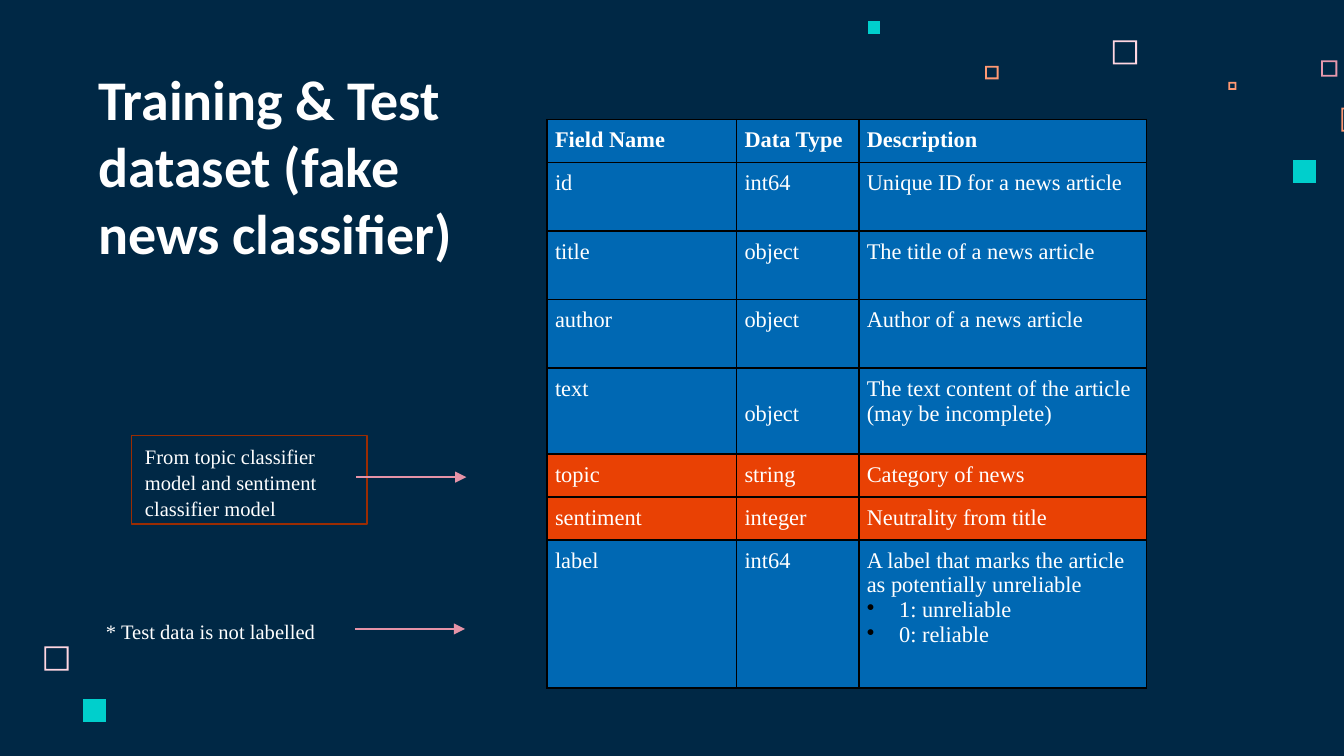
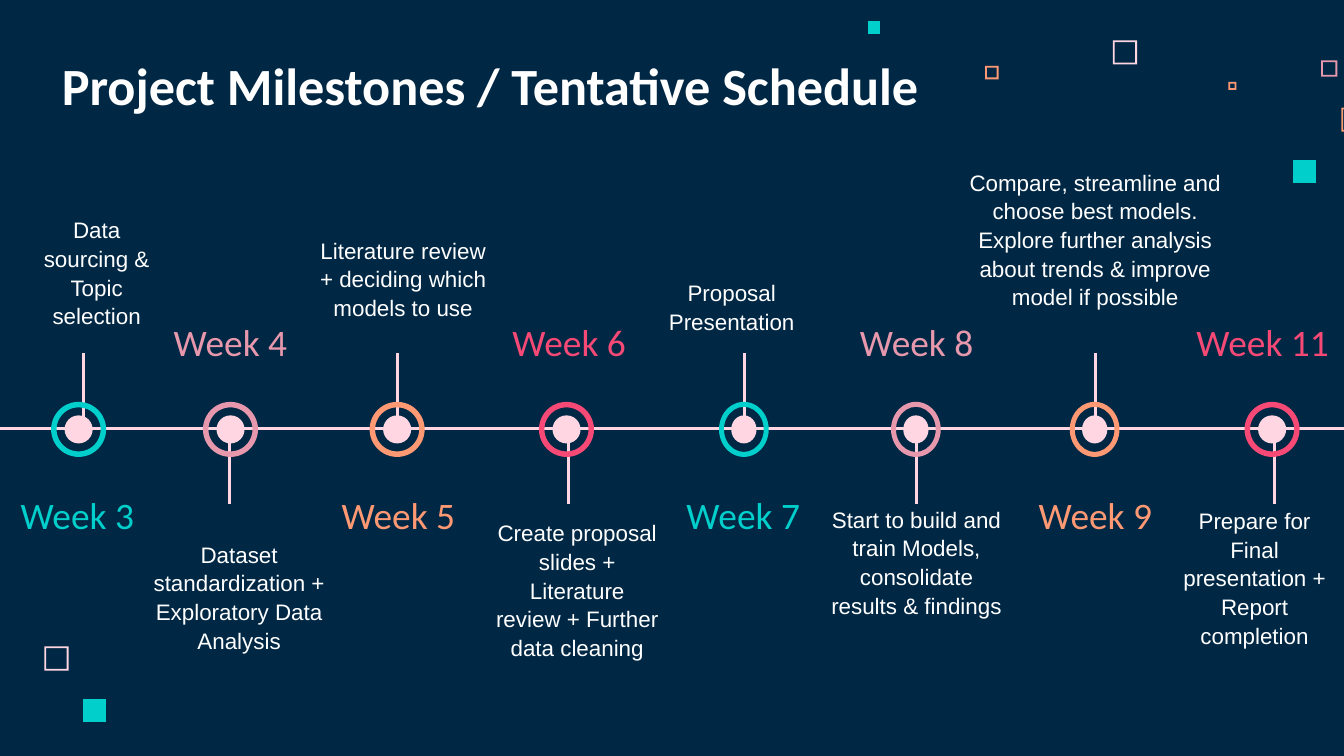
import collections

import lxml.etree
import pptx
import pptx.dml.color
import pptx.enum.shapes
import pptx.enum.text
import pptx.oxml.ns
import pptx.util

# Grid: the slide is 100 columns wide, and rows are as tall as columns are wide
COLS, ROWS = 100, 56.25
Box = collections.namedtuple("Box", "x y w h")

NAVY, WHITE, BLACK = "002845", "FFFFFF", "000000"
BLUSH, PINK, ORANGE, RED, TEAL = "FFD6E1", "E898AC", "FF9973", "F64975", "00CFCC"
BLUE, VERMILION, RUST, ROSE = "0068B3", "E94104", "9B2C02", "E593A7"
TITLE_FONT, TABLE_FONT, BODY_FONT = "Calibri", "Times New Roman", "Arial"

ALIGN = pptx.enum.text.PP_ALIGN
ANCHOR = pptx.enum.text.MSO_ANCHOR
SHAPE = pptx.enum.shapes.MSO_SHAPE

# left, top, side, colour, hollow
SQUARES = [
    (82.8, 3, 1.8, BLUSH, True),
    (98.3, 4.5, 1.2, PINK, True),
    (91.4, 6.1, 0.6, ORANGE, True),
    (99.8, 8, 1.8, ORANGE, True),
    (96.2, 11.9, 1.7, TEAL, False),
    (73.3, 4.9, 1, ORANGE, True),
    (64.6, 1.6, 0.9, TEAL, False),
    (3.3, 48.1, 1.8, BLUSH, True),
    (6.2, 52, 1.7, TEAL, False),
]

FIELD_COLS = [14.1, 9.1, 21.4]
FIELD_ROWS = [3.2, 5.1, 5.1, 5.1, 6.4, 3.2, 3.2, 11]
FIELDS = [
    ("Field Name", "Data Type", "Description"),
    ("id", "int64", "Unique ID for a news article"),
    ("title", "object", "The title of a news article"),
    ("author", "object", "Author of a news article"),
    ("text", "object", "The text content of the article (may be incomplete)"),
    ("topic", "string", "Category of news"),
    ("sentiment", "integer", "Neutrality from title"),
    ("label", "int64", "A label that marks the article as potentially unreliable"
                       "\n• 1: unreliable\n• 0: reliable"),
]
DERIVED_FIELDS = ("topic", "sentiment")

# Centres of marker, stem and label; marker width; text box
Milestone = collections.namedtuple("Milestone", "week marker stem label width box text")
MILESTONES = [
    Milestone("Week 3", 5.85, 6.2, 5.75, 4.1, Box(1.2, 17, 12, 8.5),
              "Data sourcing & Topic selection"),
    Milestone("Week 4", 17.15, 17.1, 17.15, 4.1, Box(10.3, 39.1, 15, 14.8),
              "Dataset standardization + Exploratory Data Analysis"),
    Milestone("Week 5", 29.55, 29.6, 29.65, 4.1, Box(22.2, 14, 15.6, 10.9),
              "Literature review + deciding which models to use"),
    Milestone("Week 6", 42.15, 42.3, 42.35, 4.1, Box(35.9, 37.5, 14.1, 11.2),
              "Create proposal slides + Literature review + Further data cleaning"),
    Milestone("Week 7", 55.35, 55.4, 55.3, 3.7, Box(45.1, 18.2, 18.7, 7.7),
              "Proposal\nPresentation"),
    Milestone("Week 8", 68.15, 68.2, 68.2, 3.7, Box(60.7, 36.5, 15, 12.3),
              "Start to build and train Models, consolidate results & findings"),
    Milestone("Week 9", 81.45, 81.5, 81.5, 3.7, Box(71, 13.2, 21, 10.9),
              "Compare, streamline and choose best models. Explore further analysis "
              "about trends & improve model if possible"),
    Milestone("Week 11", 94.65, 94.8, 93.95, 4.1, Box(86.3, 36.6, 14.1, 10.3),
              "Prepare for Final presentation + Report completion"),
]
WEEK_COLORS = [TEAL, PINK, ORANGE, RED]


def grid(n):
    return pptx.util.Inches(n / 10)


def place(box):
    return [grid(n) for n in box]


def rgb(value):
    return pptx.dml.color.RGBColor.from_string(value)


def paint(sp, fill=None, line=None, width=0.75):
    sp.shadow.inherit = False
    if fill:
        sp.fill.solid()
        sp.fill.fore_color.rgb = rgb(fill)
    else:
        sp.fill.background()
    if line:
        sp.line.color.rgb = rgb(line)
        sp.line.width = pptx.util.Pt(width)
    else:
        sp.line.fill.background()


def sub(parent, tag, **attrs):
    return lxml.etree.SubElement(parent, pptx.oxml.ns.qn(tag), attrs)


def bullet(p):
    pPr = p._p.get_or_add_pPr()
    pPr.set("marL", str(grid(2.4)))
    pPr.set("indent", str(-grid(2.4)))
    sub(sub(pPr, "a:buClr"), "a:srgbClr", val=BLACK)
    sub(pPr, "a:buChar", char="•")


def write(tf, text, font=BODY_FONT, size=12, color=WHITE, bold=False,
          align=ALIGN.LEFT, spacing=None):
    """One paragraph a line; a line that starts with a bullet becomes a list item."""
    for i, line in enumerate(text.split("\n")):
        p = tf.add_paragraph() if i else tf.paragraphs[0]
        p.alignment = align
        if spacing:
            p.line_spacing = spacing
        if line.startswith("• "):
            bullet(p)
        r = p.add_run()
        r.text = line.removeprefix("• ")
        r.font.name, r.font.size, r.font.bold = font, pptx.util.Pt(size), bold
        r.font.color.rgb = rgb(color)


def frame(tf, anchor=ANCHOR.TOP, inset_y=1):
    tf.word_wrap = True
    tf.auto_size = pptx.enum.text.MSO_AUTO_SIZE.NONE
    tf.vertical_anchor = anchor
    tf.margin_left = tf.margin_right = grid(1)
    tf.margin_top = tf.margin_bottom = grid(inset_y)
    return tf


def text_box(s, box, text, anchor=ANCHOR.TOP, inset_y=1, **fmt):
    sp = s.shapes.add_textbox(*place(box))
    write(frame(sp.text_frame, anchor, inset_y), text, **fmt)


def line(s, x1, y1, x2, y2, color=BLUSH, width=1.5, arrow=False):
    c = s.shapes.add_connector(pptx.enum.shapes.MSO_CONNECTOR.STRAIGHT,
                               *place((x1, y1, x2, y2)))
    c.line.color.rgb = rgb(color)
    c.line.width = pptx.util.Pt(width)
    if arrow:
        sub(c.line._get_or_add_ln(), "a:tailEnd", type="triangle")
    sub(c._element.spPr, "a:effectLst")


# Scattered squares, shared by all slides
def square(s, x, y, side, color, hollow):
    def corners(inset):
        a, b = grid(inset), grid(side - inset)
        return [(grid(x) + u, grid(y) + v) for u, v in ((a, a), (b, a), (b, b), (a, b))]

    outer = corners(0)
    fb = s.shapes.build_freeform(*outer[0])
    fb.add_line_segments(outer[1:], close=True)
    if hollow:
        inner = corners(0.13)[::-1]
        fb.move_to(*inner[0])
        fb.add_line_segments(inner[1:], close=True)
    paint(fb.convert_to_shape(), color)


def new_slide(prs, title, box, size):
    s = prs.slides.add_slide(prs.slide_layouts[5])
    for spot in SQUARES:
        square(s, *spot)
    sp = s.shapes.title
    sp.left, sp.top, sp.width, sp.height = place(box)
    write(frame(sp.text_frame, ANCHOR.BOTTOM), title, font=TITLE_FONT, size=size, bold=True)
    return s


# Table of dataset fields
def border(cell):
    tcPr = cell._tc.get_or_add_tcPr()
    for side in "LRTB":
        ln = sub(tcPr, f"a:ln{side}", w=str(pptx.util.Pt(1)))
        sub(sub(ln, "a:solidFill"), "a:srgbClr", val=BLACK)


def field_table(s, box):
    table = s.shapes.add_table(len(FIELDS), len(FIELD_COLS), *place(box)).table
    table.first_row = table.horz_banding = False
    for col, width in zip(table.columns, FIELD_COLS):
        col.width = grid(width)
    for row, height, field in zip(table.rows, FIELD_ROWS, FIELDS):
        row.height = grid(height)
        for cell, text in zip(row.cells, field):
            border(cell)
            cell.fill.solid()
            cell.fill.fore_color.rgb = rgb(VERMILION if field[0] in DERIVED_FIELDS else BLUE)
            cell.margin_left = cell.margin_right = grid(0.6)
            cell.margin_top = cell.margin_bottom = grid(0.6)
            write(cell.text_frame, text, font=TABLE_FONT, bold=field is FIELDS[0])
    # The type of the text field sits one line lower
    table.cell(4, 1).margin_top = grid(2.45)


# Notes with arrows to the table rows
def table_notes(s, box):
    fmt = dict(font=TABLE_FONT, size=11, spacing=1.07)
    sp = s.shapes.add_shape(SHAPE.RECTANGLE, *place((box.x + 2.9, box.y, 17.5, 6.6)))
    paint(sp, line=RUST)
    write(frame(sp.text_frame, inset_y=0.5),
          "From topic classifier model and sentiment classifier model", **fmt)
    text_box(s, Box(box.x, box.y + 13, 18.2, 2.9), "* Test data is not labelled",
             inset_y=0.5, **fmt)
    right = box.x + box.w
    for dx, dy in ((0, 3.1), (-0.1, 14.4)):
        line(s, right - 8.2 + dx, box.y + dy, right + dx, box.y + dy, ROSE, 0.75, arrow=True)


# Timeline
def marker(s, x, y, width, color):
    group = s.shapes.add_group_shape()
    for kind, share, fill in ((SHAPE.OVAL, 0.51, BLUSH), (SHAPE.DONUT, 1, color)):
        w, h = width * share, 4.1 * share
        sp = group.shapes.add_shape(kind, *place((x - w / 2, y - h / 2, w, h)))
        paint(sp, fill)
        if kind == SHAPE.DONUT:
            sp.adjustments[0] = 0.1


def timeline(s, box):
    axis = box.y + box.h / 2
    for i, m in enumerate(MILESTONES):
        up = i % 2 == 0
        start, end = (-5.6, -0.6) if up else (0.7, 5.6)
        line(s, box.x + m.stem, axis + start, box.x + m.stem, axis + end)
    line(s, box.x, axis, box.x + box.w, axis)
    for i, m in enumerate(MILESTONES):
        up, color = i % 2 == 0, WEEK_COLORS[i % len(WEEK_COLORS)]
        marker(s, box.x + m.marker, axis + 0.05, m.width, color)
        text_box(s, Box(box.x + m.label - 7.05, axis + (4 if up else -8.8), 14.1, 4.7),
                 m.week, ANCHOR.MIDDLE, font=TITLE_FONT, size=20, color=color,
                 align=ALIGN.CENTER)
        spot = m.box._replace(x=box.x + m.box.x, y=box.y + m.box.y - 13.2)
        text_box(s, spot, m.text, ANCHOR.BOTTOM if up else ANCHOR.TOP,
                 align=ALIGN.CENTER, spacing=1.07)


def main():
    prs = pptx.Presentation()
    prs.slide_width, prs.slide_height = grid(COLS), grid(ROWS)
    background = prs.slide_master.background.fill
    background.solid()
    background.fore_color.rgb = rgb(NAVY)

    s = new_slide(prs, "Training & Test dataset (fake news classifier)",
                  Box(6.3, 3.3, 28.5, 17.5), 30)
    field_table(s, Box(40.7, 8.9, sum(FIELD_COLS), sum(FIELD_ROWS)))
    table_notes(s, Box(6.9, 32.4, 27.8, 15.9))

    s = new_slide(prs, "Project Milestones / Tentative Schedule",
                  Box(3.6, 3.3, 69.3, 6.3), 28)
    timeline(s, Box(0, 13.2, COLS, 37.4))

    prs.save("out.pptx")


if __name__ == "__main__":
    main()
